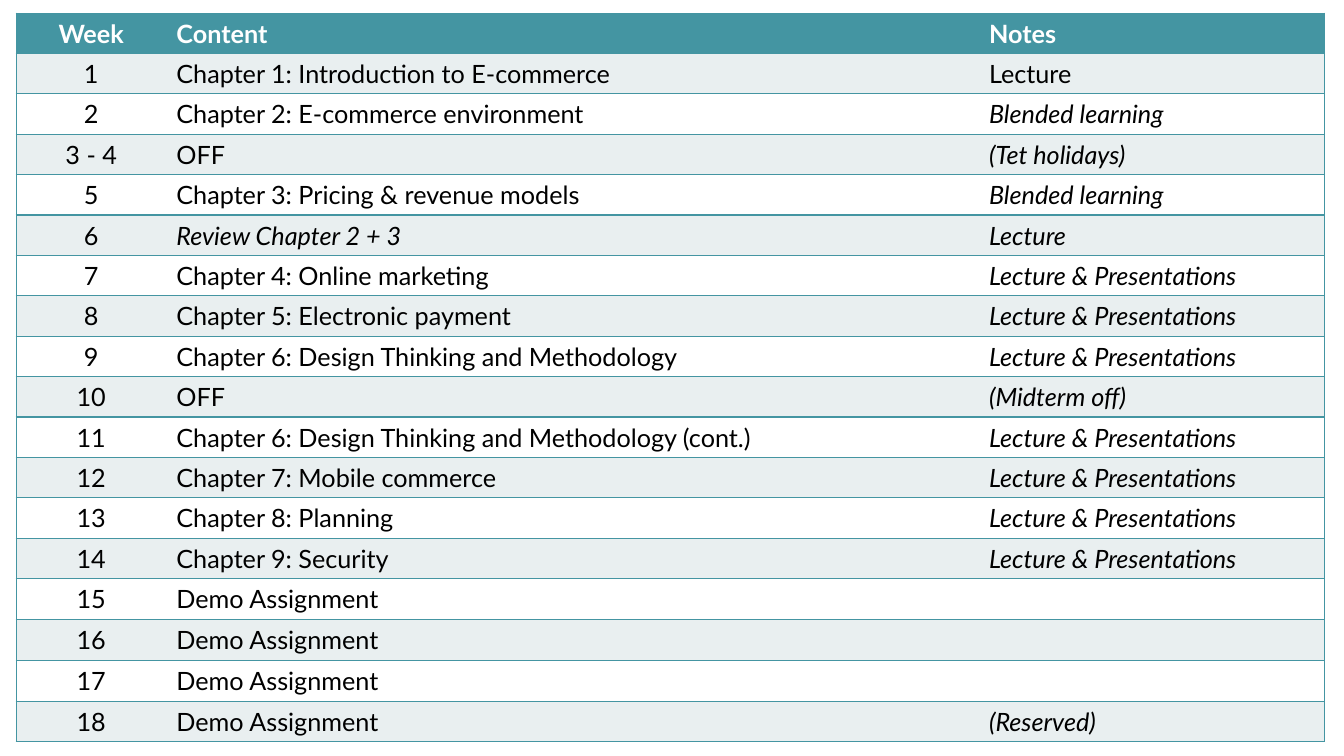
import pptx
import pptx.dml.color
import pptx.enum.text
import pptx.oxml
import pptx.oxml.ns
import pptx.util
from pptx.util import Inches

# Content: week, content, notes
HEADER = ("Week", "Content", "Notes")
SCHEDULE = [
    ("1", "Chapter 1: Introduction to E-commerce", "Lecture"),
    ("2", "Chapter 2: E-commerce environment", "Blended learning"),
    ("3 - 4", "OFF", "(Tet holidays)"),
    ("5", "Chapter 3: Pricing & revenue models", "Blended learning"),
    ("6", "Review Chapter 2 + 3", "Lecture"),
    ("7", "Chapter 4: Online marketing", "Lecture & Presentations"),
    ("8", "Chapter 5: Electronic payment", "Lecture & Presentations"),
    ("9", "Chapter 6: Design Thinking and Methodology", "Lecture & Presentations"),
    ("10", "OFF", "(Midterm off)"),
    ("11", "Chapter 6: Design Thinking and Methodology (cont.)", "Lecture & Presentations"),
    ("12", "Chapter 7: Mobile commerce", "Lecture & Presentations"),
    ("13", "Chapter 8: Planning", "Lecture & Presentations"),
    ("14", "Chapter 9: Security", "Lecture & Presentations"),
    ("15", "Demo Assignment", ""),
    ("16", "Demo Assignment", ""),
    ("17", "Demo Assignment", ""),
    ("18", "Demo Assignment", "(Reserved)"),
]

# Style
FONT = "Lato"
TEAL = pptx.dml.color.RGBColor(0x44, 0x95, 0xA2)
BAND = pptx.dml.color.RGBColor(0xE9, 0xEF, 0xF0)
WHITE = pptx.dml.color.RGBColor(0xFF, 0xFF, 0xFF)
BLACK = pptx.dml.color.RGBColor(0, 0, 0)
LEFT, TOP, HEIGHT = 0.16, 0.13, 7.22
COL_WIDTHS = (1.49, 8.06, 3.43)


def set_borders(cell, shown):
    """Draw teal lines on the shown sides and none on the others."""
    tcPr = cell._tc.get_or_add_tcPr()
    for i, side in enumerate("LRTB"):
        paint = (f'<a:solidFill><a:srgbClr val="{TEAL}"/></a:solidFill>'
                 if side in shown else "<a:noFill/>")
        tcPr.insert(i, pptx.oxml.parse_xml(
            f'<a:ln{side} {pptx.oxml.ns.nsdecls("a")} w="12700">{paint}</a:ln{side}>'))


def is_italic(row, col, text):
    return (col == 2 and row > 1) or text.startswith("Review")


def fill_cell(cell, row, col, text):
    cell.fill.solid()
    cell.fill.fore_color.rgb = TEAL if row == 0 else BAND if row % 2 else WHITE
    set_borders(cell, ("LTB", "TB", "RTB")[col])
    if not text:
        return
    p = cell.text_frame.paragraphs[0]
    if col == 0:
        p.alignment = pptx.enum.text.PP_ALIGN.CENTER
    r = p.add_run()
    r.text = text
    r.font.name = FONT
    r.font.size = pptx.util.Pt(18)
    r.font.bold = row == 0
    r.font.italic = is_italic(row, col, text)
    r.font.color.rgb = WHITE if row == 0 else BLACK


def main():
    prs = pptx.Presentation()
    prs.slide_width, prs.slide_height = Inches(13.33), Inches(7.5)
    s = prs.slides.add_slide(prs.slide_layouts[6])

    # Schedule table with equal rows
    rows = [HEADER] + SCHEDULE
    table = s.shapes.add_table(len(rows), len(COL_WIDTHS), Inches(LEFT), Inches(TOP),
                               Inches(sum(COL_WIDTHS)), Inches(HEIGHT)).table
    for column, width in zip(table.columns, COL_WIDTHS):
        column.width = Inches(width)
    for i, texts in enumerate(rows):
        table.rows[i].height = Inches(HEIGHT / len(rows))
        for j, text in enumerate(texts):
            fill_cell(table.cell(i, j), i, j, text)

    prs.save("out.pptx")


if __name__ == "__main__":
    main()
